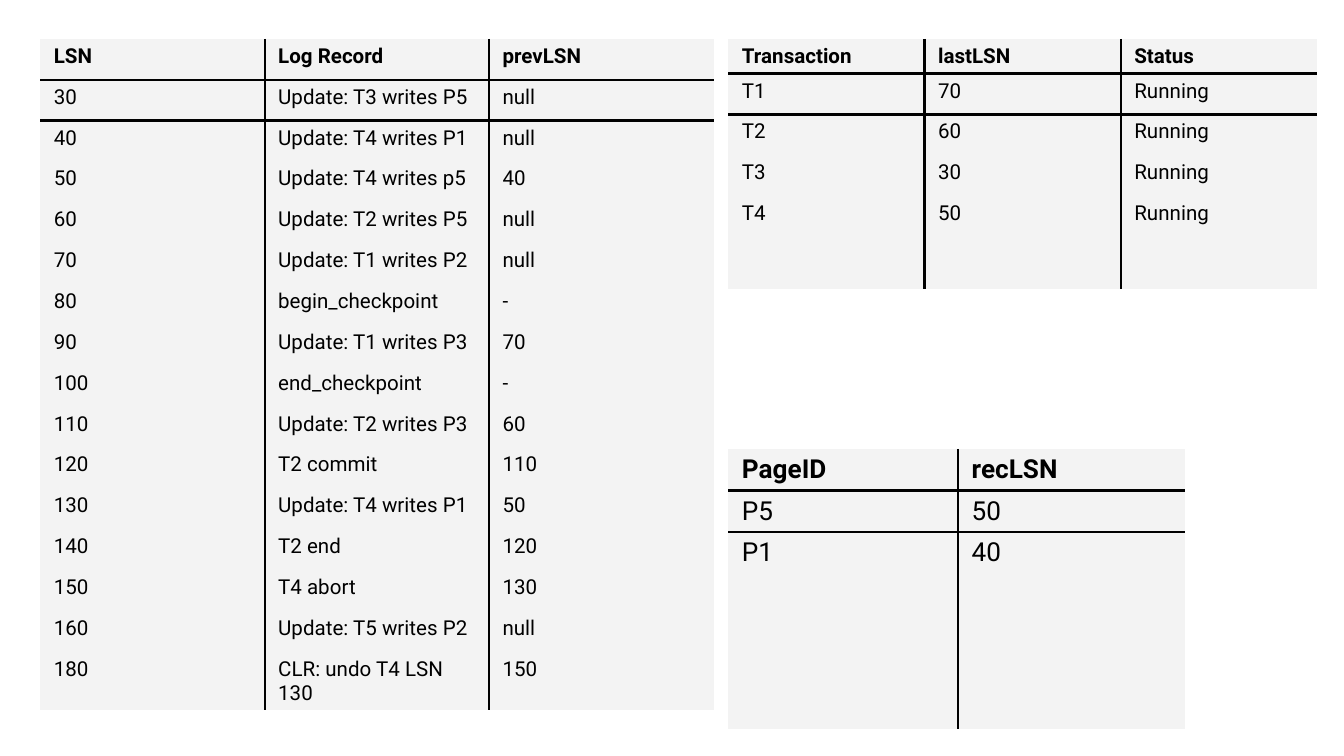
from lxml import etree
from pptx import Presentation
from pptx.dml.color import RGBColor
from pptx.oxml.ns import qn
from pptx.util import Inches, Pt

FONT = "Roboto"
INK = "000000"
CELL_FILL = "F3F3F3"
NO_STYLE = "{2D5ABB26-0587-4C30-8999-92F81FD0307C}"
FRAME_SIZE = Inches(3.28)
ROW_H = Inches(4.56) // 15

LOG = [
    ("LSN", "Log Record", "prevLSN"),
    ("30", "Update: T3 writes P5", "null"),
    ("40", "Update: T4 writes P1", "null"),
    ("50", "Update: T4 writes p5", "40"),
    ("60", "Update: T2 writes P5", "null"),
    ("70", "Update: T1 writes P2", "null"),
    ("80", "begin_checkpoint", "-"),
    ("90", "Update: T1 writes P3", "70"),
    ("100", "end_checkpoint", "-"),
    ("110", "Update: T2 writes P3", "60"),
    ("120", "T2 commit", "110"),
    ("130", "Update: T4 writes P1", "50"),
    ("140", "T2 end", "120"),
    ("150", "T4 abort", "130"),
    ("160", "Update: T5 writes P2", "null"),
    ("180", "CLR: undo T4 LSN 130", "150"),
]
TRANSACTIONS = [
    ("Transaction", "lastLSN", "Status"),
    ("T1", "70", "Running"),
    ("T2", "60", "Running"),
    ("T3", "30", "Running"),
    ("T4", "50", "Running"),
    ("", "", ""),
]
DIRTY_PAGES = [("PageID", "recLSN"), ("P5", "50"), ("P1", "40")] + [("", "")] * 3


def rgb(value):
    return RGBColor.from_string(value)


def add_borders(cell, sides):
    """Draw the given sides (in the order L, R, T, B) of a cell."""
    tc_pr = cell._tc.get_or_add_tcPr()
    for side in sides:
        ln = etree.SubElement(tc_pr, qn(f"a:ln{side}"), w=str(Pt(1.5)))
        fill = etree.SubElement(ln, qn("a:solidFill"))
        etree.SubElement(fill, qn("a:srgbClr"), val=INK)


def fill_cell(cell, words, size, bold):
    cell.fill.solid()
    cell.fill.fore_color.rgb = rgb(CELL_FILL)
    cell.margin_left = cell.margin_right = Inches(0.1)
    cell.margin_top = cell.margin_bottom = Inches(0.04)
    if words:
        cell.text = words
        font = cell.text_frame.paragraphs[0].font
        font.name, font.size, font.bold = FONT, Pt(size), bold
        font.color.rgb = rgb(INK)


def add_grid(s, left, top, widths, header_height, rows, size):
    """Add a table with lines between its columns and under its header."""
    frame = s.shapes.add_table(len(rows), len(widths), Inches(left), Inches(top),
                               FRAME_SIZE, FRAME_SIZE)
    table = frame.table
    table._tbl.tblPr.find(qn("a:tableStyleId")).text = NO_STYLE
    table.horz_banding = False
    for column, width in zip(table.columns, widths):
        column.width = Inches(width)
    for i, (row, values) in enumerate(zip(table.rows, rows)):
        row.height = ROW_H if i else header_height
        for j, words in enumerate(values):
            sides = [("L", j > 0), ("R", j < len(widths) - 1),
                     ("T", i == 1), ("B", i == 0)]
            cell = table.cell(i, j)
            add_borders(cell, [side for side, drawn in sides if drawn])
            fill_cell(cell, words, size, bold=i == 0)
    frame.width = frame.height = FRAME_SIZE


def main():
    prs = Presentation()
    prs.slide_width, prs.slide_height = Inches(10), Inches(10) * 9 // 16
    s = prs.slides.add_slide(prs.slide_layouts[6])
    add_grid(s, 0.3, 0.29, [1.67] * 3, ROW_H, LOG, 11)
    add_grid(s, 5.42, 0.29, [1.46] * 3, Inches(0.15), TRANSACTIONS, 11)
    add_grid(s, 5.42, 3.34, [1.71, 1.69], Inches(0.25), DIRTY_PAGES, 14)
    prs.save("out.pptx")


if __name__ == "__main__":
    main()
